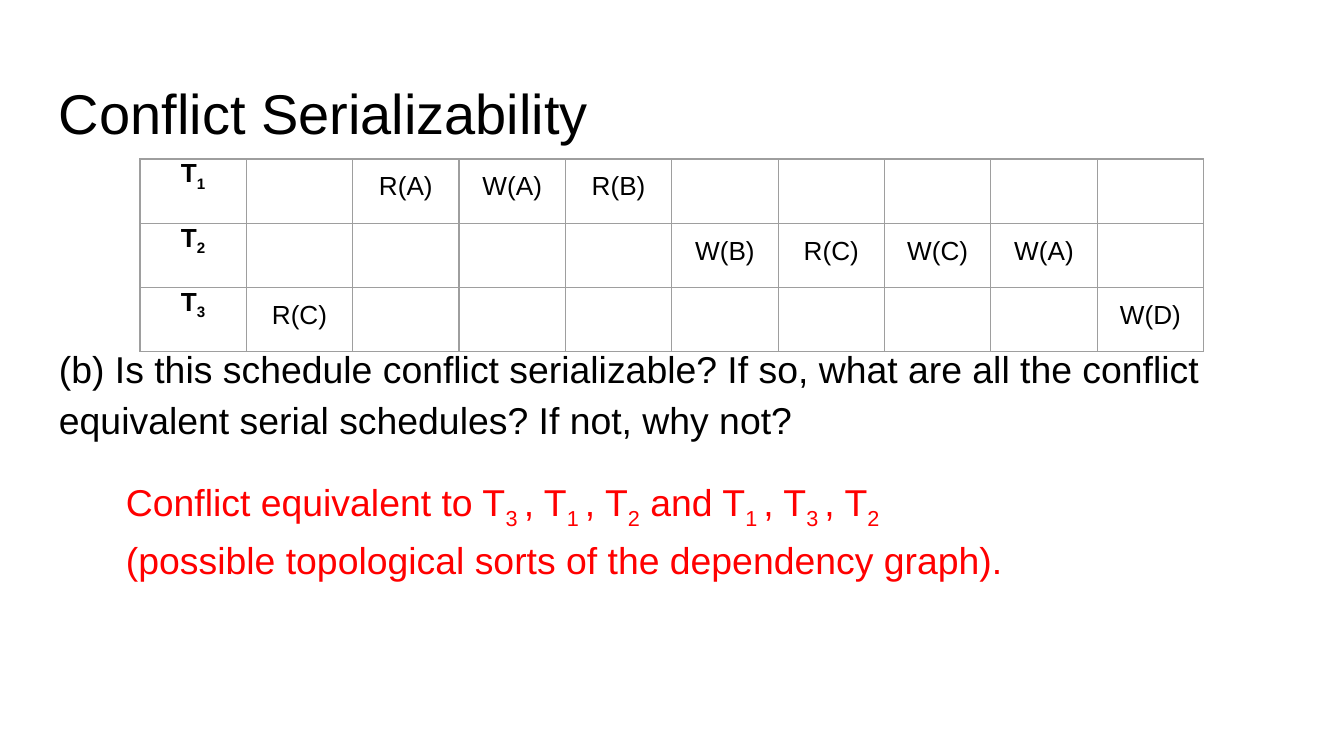
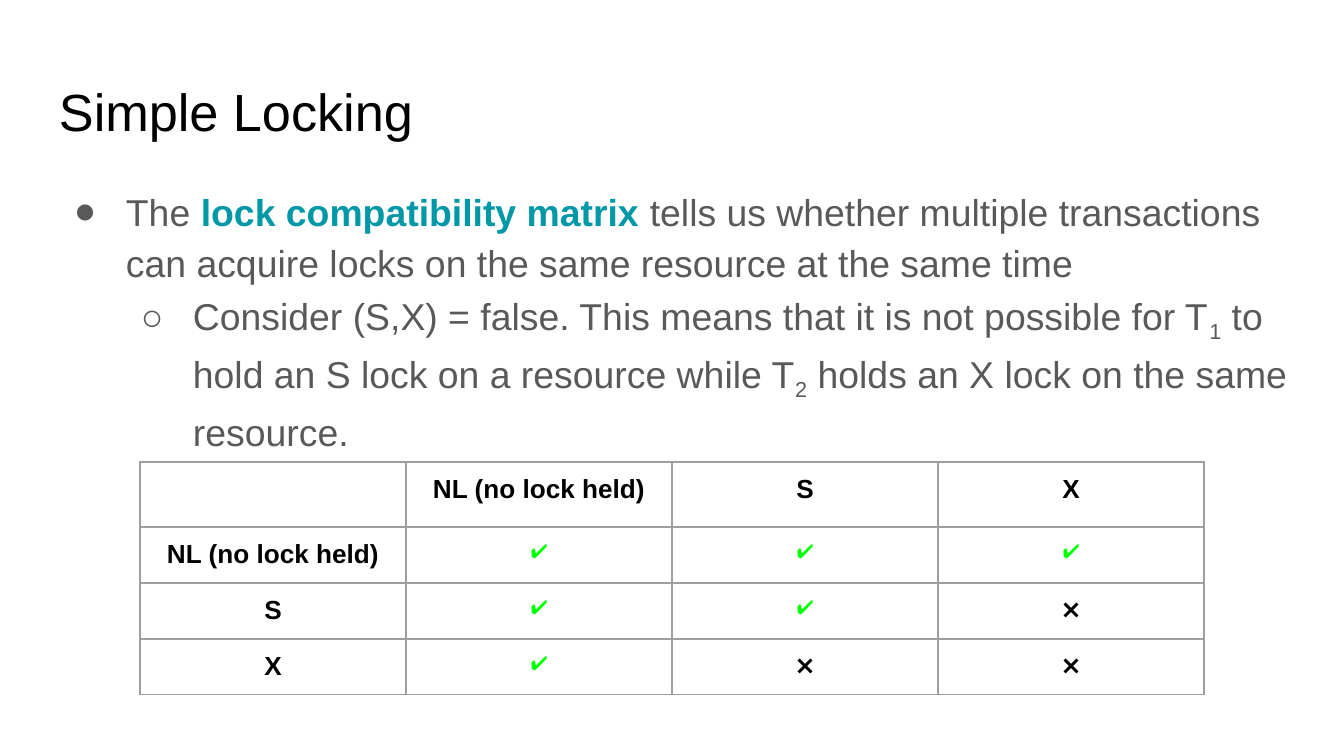
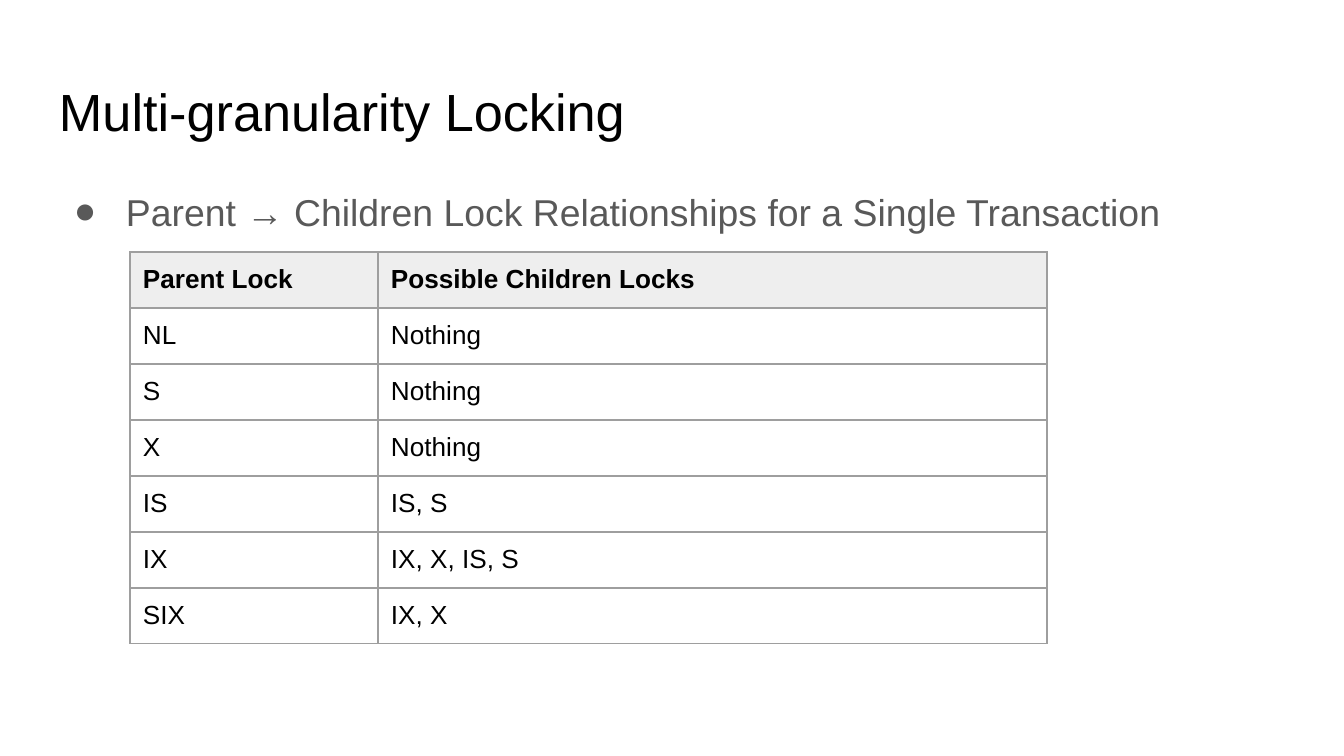
from lxml import etree
from pptx import Presentation
from pptx.dml.color import RGBColor as RGB
from pptx.enum.text import MSO_ANCHOR as Anchor, MSO_AUTO_SIZE as Fit, PP_ALIGN as Align
from pptx.oxml.ns import qn
from pptx.util import Emu, Pt

# Shared look
BLACK = RGB(0x00, 0x00, 0x00)
GREY = RGB(0x59, 0x59, 0x59)
RED = RGB(0xFF, 0x00, 0x00)
TEAL = RGB(0x00, 0x97, 0xA7)
GREEN = RGB(0x00, 0xFF, 0x00)
RULE = RGB(0x9E, 0x9E, 0x9E)
HEAD = RGB(0xEE, 0xEE, 0xEE)
FONT = "Arial"
PAD = 13
FOOT = 11
STEP = 67
HANG = 52
YES, NO = "✔", "❌"


def px(n):
    return Emu(round(n * 914400 / 134.4))


def put(para, text, size=20, color=BLACK, bold=False, font=FONT):
    """Add text to a paragraph; parts between bars are subscripts."""
    for i, part in enumerate(text.split("|")):
        if not part:
            continue
        run = para.add_run()
        run.text = part
        face = run.font
        face.size, face.bold, face.name = Pt(size), bold, font
        face.color.rgb = color
        if i % 2:
            run._r.get_or_add_rPr().set("baseline", "-25000")


def set_pad(frame, top=PAD, bottom=PAD):
    frame.margin_left = frame.margin_right = px(PAD)
    frame.margin_top, frame.margin_bottom = px(top), px(bottom)


def add_page(deck, title, size=28):
    page = deck.slides.add_slide(deck.slide_layouts[5])
    head = page.shapes.title
    head.left, head.top, head.width, head.height = map(px, (46, 66, 1253, 85))
    frame = head.text_frame
    frame.auto_size, frame.word_wrap = Fit.NONE, True
    frame.vertical_anchor = Anchor.TOP
    set_pad(frame)
    para = frame.paragraphs[0]
    para.alignment = Align.LEFT
    put(para, title, size)
    return page


def add_body(page, width=1262, height=503, top=PAD):
    box = page.shapes.add_textbox(px(46), px(169), px(width), px(height))
    frame = box.text_frame
    frame.word_wrap = True
    set_pad(frame, top)
    return frame


def add_para(frame, indent=0, mark=None, before=0, after=0):
    """Start a body paragraph, with a hanging bullet if a mark is given."""
    para = frame.paragraphs[0]
    if para.runs:
        para = frame.add_paragraph()
    props = para._p.get_or_add_pPr()
    props.set("marL", str(px(indent * STEP)))
    props.set("indent", str(px(-HANG if mark else 0)))
    if mark:
        para.level = indent - 1
        tint = etree.SubElement(props, qn("a:buClr"))
        etree.SubElement(tint, qn("a:srgbClr"), val=str(GREY))
        etree.SubElement(props, qn("a:buFont"), typeface=FONT)
        etree.SubElement(props, qn("a:buChar"), char=mark)
    para.line_spacing = 1.15
    para.space_before, para.space_after = Pt(before), Pt(after)
    return para


def add_edges(cell):
    props = cell._tc.get_or_add_tcPr()
    for side in "LRTB":
        line = etree.SubElement(props, qn("a:ln" + side), w=str(Pt(0.75)))
        fill = etree.SubElement(line, qn("a:solidFill"))
        etree.SubElement(fill, qn("a:srgbClr"), val=str(RULE))


def add_grid(page, left, top, width, cols, rows, cells, style, align=Align.CENTER):
    """Add a table; cols are shares of the width, style(r, c) formats a cell."""
    table = page.shapes.add_table(len(rows), len(cols), px(left), px(top),
                                  px(width), px(sum(rows))).table
    table.first_row = table.horz_banding = False
    for col, share in zip(table.columns, cols):
        col.width = px(width * share / sum(cols))
    for row, height in zip(table.rows, rows):
        row.height = px(height)
    for r, line in enumerate(cells):
        for c, text in enumerate(line):
            cell = table.cell(r, c)
            look = style(r, c)
            add_edges(cell)
            set_pad(cell, look.pop("top", PAD), FOOT)
            fill = look.pop("fill", None)
            if fill:
                cell.fill.solid()
                cell.fill.fore_color.rgb = fill
            else:
                cell.fill.background()
            para = cell.text_frame.paragraphs[0]
            para.alignment = align
            if text == YES:
                look = dict(size=10.5, color=GREEN, font="Roboto")
            put(para, text, **{"size": 14, **look})


def add_schedule(deck):
    page = add_page(deck, "Conflict Serializability", 30)
    frame = add_body(page, 1253, 493, top=170)
    put(add_para(frame), "(b) Is this schedule conflict serializable? If so, what are "
        "all the conflict equivalent serial schedules? If not, why not?")
    put(add_para(frame, 1, before=16),
        "Conflict equivalent to T|3 |, T|1 |, T|2| and T|1 |, T|3 |, T|2", color=RED)
    put(add_para(frame, 1, after=16),
        "(possible topological sorts of the dependency graph).", color=RED)

    # One row per transaction, one column per time step
    steps = [(3, "R(C)"), (1, "R(A)"), (1, "W(A)"), (1, "R(B)"), (2, "W(B)"),
             (2, "R(C)"), (2, "W(C)"), (2, "W(A)"), (3, "W(D)")]
    cells = [[f"T|{t}|"] + [act if who == t else "" for who, act in steps]
             for t in (1, 2, 3)]
    add_grid(page, 140, 159, 1064, [1] * 10, [64] * 3, cells,
             lambda r, c: {} if c else {"bold": True, "top": 0})


def add_matrix(deck):
    page = add_page(deck, "Simple Locking")
    frame = add_body(page)
    para = add_para(frame, 1, "●")
    put(para, "The ", color=GREY)
    put(para, "lock compatibility matrix", color=TEAL, bold=True)
    put(para, " tells us whether multiple transactions can acquire locks on the "
        "same resource at the same time", color=GREY)
    put(add_para(frame, 2, "○"), "Consider (S,X) = false. This means that it is not "
        "possible for T|1| to hold an S lock on a resource while T|2| holds an X lock "
        "on the same resource.", color=GREY)

    locks = ["NL (no lock held)", "S", "X"]
    cells = [[""] + locks]
    for r, lock in enumerate(locks):
        cells.append([lock] + [YES if r + c < 3 and (r, c) != (1, 2) else NO
                               for c in range(3)])
    add_grid(page, 140, 462, 1064, [1] * 4, [65, 56, 56, 56], cells,
             lambda r, c: {"bold": r == 0 or c == 0})


def add_parents(deck):
    page = add_page(deck, "Multi-granularity Locking")
    put(add_para(add_body(page), 1, "●"),
        "Parent → Children Lock Relationships for a Single Transaction", color=GREY)
    cells = [("Parent Lock", "Possible Children Locks"), ("NL", "Nothing"),
             ("S", "Nothing"), ("X", "Nothing"), ("IS", "IS, S"),
             ("IX", "IX, X, IS, S"), ("SIX", "IX, X")]
    add_grid(page, 130, 252, 917, [248, 669], [56] * 7, cells,
             lambda r, c: {} if r else {"bold": True, "fill": HEAD}, Align.LEFT)


def main():
    deck = Presentation()
    deck.slide_width, deck.slide_height = px(1344), px(756)
    add_schedule(deck)
    add_matrix(deck)
    add_parents(deck)
    deck.save("out.pptx")


if __name__ == "__main__":
    main()
